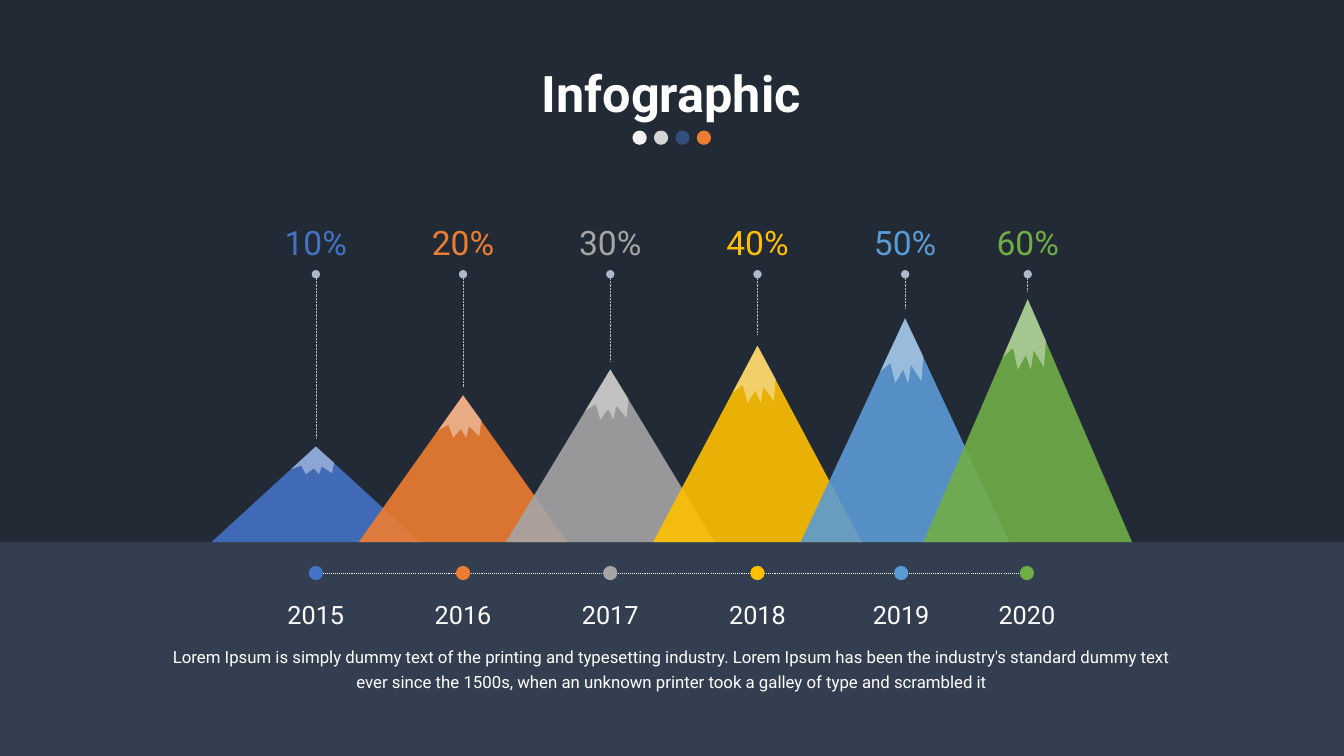
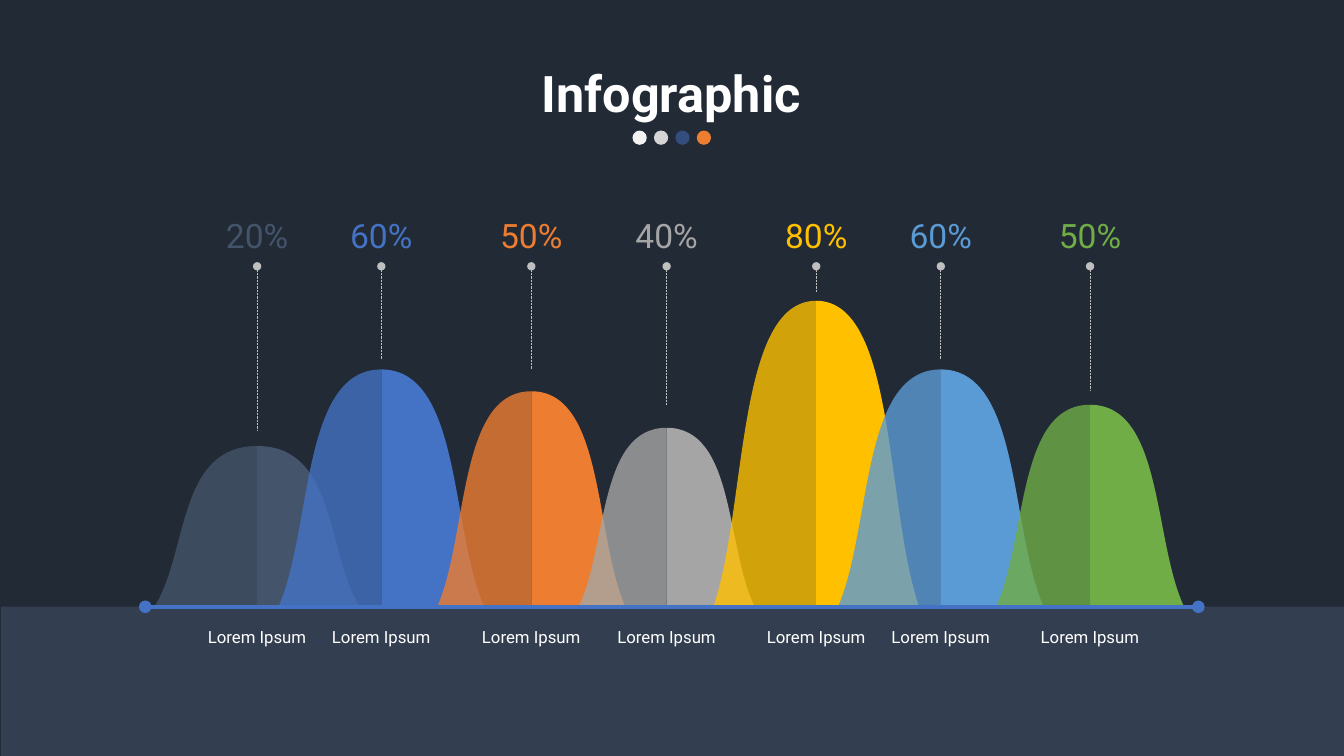
from dataclasses import dataclass

from lxml import etree
from pptx import Presentation, util as u
from pptx.dml.color import RGBColor
from pptx.enum import dml, shapes, text
from pptx.oxml.ns import qn


@dataclass(frozen=True)
class Theme:
    font: str = "Roboto"
    night: str = "222A35"
    ground: str = "333F50"
    white: str = "FFFFFF"
    pale: str = "F2F2F2"
    silver: str = "D9D9D9"
    mist: str = "ADB9CA"
    ash: str = "BFBFBF"
    slate: str = "44546A"
    blue: str = "4472C4"
    orange: str = "ED7D31"
    gray: str = "A5A5A5"
    gold: str = "FFC000"
    sky: str = "5B9BD5"
    green: str = "70AD47"
    title_size: int = 36
    percent_size: int = 24
    year_size: int = 18
    body_size: int = 12


theme = Theme()


def write(slide, words, center, top, width, height, size, colour=theme.white,
          bold=False, inset=True, wrap=True, spacing=None):
    box = slide.shapes.add_textbox(u.Cm(center - width / 2), u.Cm(top), u.Cm(width), u.Cm(height))
    frame = box.text_frame
    frame.word_wrap = wrap
    if not inset:
        frame.margin_left = frame.margin_right = frame.margin_top = frame.margin_bottom = 0
    paragraph = frame.paragraphs[0]
    paragraph.alignment = text.PP_ALIGN.CENTER
    paragraph.line_spacing = spacing
    run = paragraph.add_run()
    run.text = words
    run.font.name = theme.font
    run.font.size = u.Pt(size)
    run.font.bold = bold
    run.font.color.rgb = RGBColor.from_string(colour)


def paint(shape, colour, opacity=100):
    shape.shadow.inherit = False
    shape.line.fill.background()
    shape.fill.solid()
    shape.fill.fore_color.rgb = RGBColor.from_string(colour)
    if opacity < 100:
        tint = shape.element.spPr.find(".//" + qn("a:srgbClr"))
        etree.SubElement(tint, qn("a:alpha")).set("val", str(opacity * 1000))


slide_width, slide_height = 33.87, 19.05
dot_size = 0.36
mountain_ground, hill_ground = 13.66, 15.29

prs = Presentation()
prs.slide_width, prs.slide_height = u.Cm(slide_width), u.Cm(slide_height)
title_dots = [(theme.pale, 100), (theme.silver, 98), (theme.blue, 50), (theme.orange, 100)]
slides = []
for horizon, band_left in ((mountain_ground, 0), (hill_ground, 0.02)):
    slide = prs.slides.add_slide(prs.slide_layouts[6])
    band = slide.shapes.add_shape(shapes.MSO_SHAPE.RECTANGLE, u.Cm(band_left), u.Cm(horizon),
                                  prs.slide_width, u.Cm(slide_height - horizon))
    paint(band, theme.ground)
    write(slide, "Infographic", 16.92, 1.61, 30.56, 1.63, theme.title_size, bold=True, spacing=0.9)
    dots = [(16.12 + 0.54 * i, 3.47, colour, opacity)
            for i, (colour, opacity) in enumerate(title_dots)]
    slides.append((slide, [], [], dots))

sky_panel = slide.shapes.add_shape(shapes.MSO_SHAPE.RECTANGLE, 0, 0, prs.slide_width, prs.slide_height)
paint(sky_panel, theme.night)
prs.slide_master.element.cSld.spTree.insert(2, sky_panel.element)

slide, outlines, strokes, dots = slides[0]
mountain_reach = 2.63
timeline_y = 14.44
snow_edge = [(0, 0), (-0.63, 0.24), (-0.37, 0.2), (-0.25, 0.29), (-0.05, 0.23),
             (0.08, 0.29), (0.15, 0.21), (0.41, 0.28), (0.46, 0.17)]
mountains = [
    ("10%", "2015", theme.blue, 7.96, 7.96, 11.25, 11.05),
    ("20%", "2016", theme.orange, 11.67, 11.67, 9.96, 9.75),
    ("30%", "2017", theme.gray, 15.38, 15.38, 9.31, 9.12),
    ("40%", "2018", theme.gold, 19.09, 19.09, 8.71, 8.43),
    ("50%", "2019", theme.sky, 22.81, 22.71, 8.02, 7.77),
    ("60%", "2020", theme.green, 25.9, 25.88, 7.54, 7.34),
]
for percent, year, colour, x, year_x, peak, leader_end in mountains:
    rise = mountain_ground - peak
    flanks = [(x, peak), (x - mountain_reach, mountain_ground),
              (x, mountain_ground), (x + mountain_reach, mountain_ground)]
    outlines.append((flanks, colour, 90, False))
    snow = [(x + dx, peak + drop * rise) for dx, drop in snow_edge]
    outlines.append((snow, theme.white, 40, False))
    strokes.append((x, 6.91, x, leader_end, theme.mist, 0.5, True, ["a:headEnd"]))
    dots.append((year_x, timeline_y, colour, 100))
    write(slide, percent, x, 5.59, 2.06, 1.02, theme.percent_size, colour, inset=False)
    write(slide, year, year_x, 14.81, 1.57, 0.97, theme.year_size, inset=False, spacing=u.Pt(29.8))
strokes.append((8.13, timeline_y, 25.7, timeline_y, theme.white, 0.75, True, []))
write(slide, "Lorem Ipsum is simply dummy text of the printing and typesetting industry. "
      "Lorem Ipsum has been the industry's standard dummy text ever since the 1500s, "
      "when an unknown printer took a galley of type and scrambled it",
      16.93, 16.08, 25.78, 1.42, theme.body_size, spacing=1.2)

slide, outlines, strokes, dots = slides[1]
hill_curve = [(1, 1), (0.67, 0.67), (0.78, 0), (0, 0), (0, 1)]
hills = [
    ("20%", theme.slate, 6.48, 2.59, 11.24, 10.85),
    ("60%", theme.blue, 9.61, 2.59, 9.31, 9.04),
    ("50%", theme.orange, 13.39, 2.37, 9.86, 9.3),
    ("40%", theme.gray, 16.8, 2.22, 10.78, 10.19),
    ("80%", theme.gold, 20.57, 2.59, 7.58, 7.37),
    ("60%", theme.sky, 23.71, 2.59, 9.31, 9.04),
    ("50%", theme.green, 27.47, 2.37, 10.2, 9.86),
]
for percent, colour, x, reach, top, leader_end in hills:
    rise = hill_ground - top
    for side, opacity in ((-1, 80), (1, 100)):
        half = [(x + side * reach * across, top + rise * down) for across, down in hill_curve]
        outlines.append((half, colour, opacity, True))
    strokes.append((x, 6.71, x, leader_end, theme.ash, 0.5, True, ["a:headEnd"]))
    write(slide, percent, x, 5.41, 2.06, 1.02, theme.percent_size, colour, inset=False)
    write(slide, "Lorem Ipsum", x, 15.67, 3.02, 0.76, theme.body_size, wrap=False)
strokes.append((3.66, hill_ground, 30.2, hill_ground, theme.blue, 3, False, ["a:headEnd", "a:tailEnd"]))

for slide, outlines, strokes, dots in slides:
    for points, colour, opacity, curved in outlines:
        corners = [(u.Cm(x), u.Cm(y)) for x, y in points]
        builder = slide.shapes.build_freeform(*corners[0])
        builder.add_line_segments(corners[1:], close=True)
        silhouette = builder.convert_to_shape()
        paint(silhouette, colour, opacity)
        if curved:
            contour = silhouette.element.spPr.find(".//" + qn("a:path"))
            bend = etree.Element(qn("a:cubicBezTo"))
            for segment in contour.findall(qn("a:lnTo"))[:3]:
                bend.append(segment[0])
                contour.remove(segment)
            contour.insert(1, bend)
    for x1, y1, x2, y2, colour, weight, dotted, ends in strokes:
        stroke = slide.shapes.add_connector(shapes.MSO_CONNECTOR.STRAIGHT,
                                            u.Cm(x1), u.Cm(y1), u.Cm(x2), u.Cm(y2))
        stroke.line.color.rgb = RGBColor.from_string(colour)
        stroke.line.width = u.Pt(weight)
        if dotted:
            stroke.line.dash_style = dml.MSO_LINE.ROUND_DOT
        properties = stroke.element.spPr
        for end in ends:
            etree.SubElement(properties.find(qn("a:ln")), qn(end)).set("type", "oval")
        etree.SubElement(properties, qn("a:effectLst"))
    for x, y, colour, opacity in dots:
        dot = slide.shapes.add_shape(shapes.MSO_SHAPE.OVAL, u.Cm(x - dot_size / 2),
                                     u.Cm(y - dot_size / 2), u.Cm(dot_size), u.Cm(dot_size))
        paint(dot, colour, opacity)

prs.save("out.pptx")
